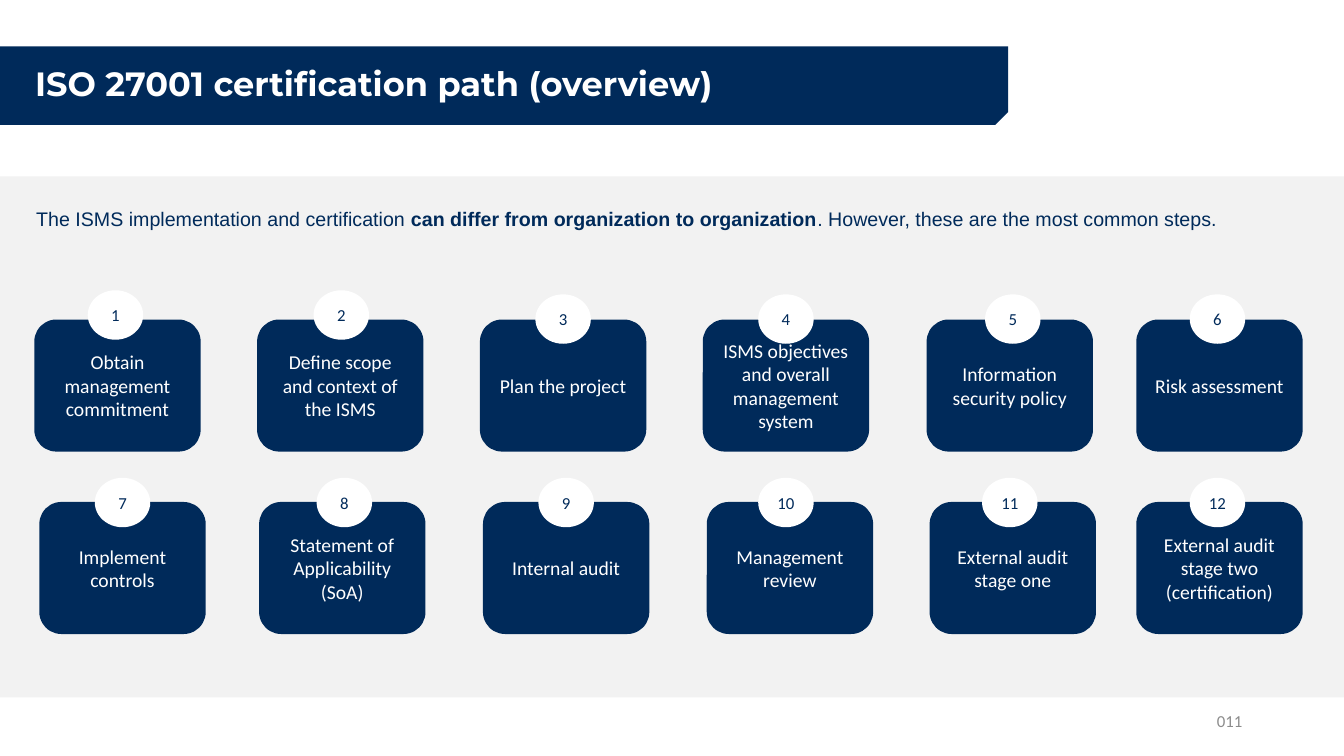
from pptx import Presentation
from pptx.dml.color import RGBColor
from pptx.enum.shapes import MSO_SHAPE
from pptx.enum.text import MSO_ANCHOR, MSO_AUTO_SIZE, PP_ALIGN
from pptx.util import Inches, Pt

RECT = MSO_SHAPE.RECTANGLE
ROUND = MSO_SHAPE.ROUNDED_RECTANGLE
SNIP = MSO_SHAPE.SNIP_ROUND_RECTANGLE
OVAL = MSO_SHAPE.OVAL
TOP, MIDDLE = MSO_ANCHOR.TOP, MSO_ANCHOR.MIDDLE
LEFT, CENTER, RIGHT = PP_ALIGN.LEFT, PP_ALIGN.CENTER, PP_ALIGN.RIGHT
FIT = MSO_AUTO_SIZE.SHAPE_TO_FIT_TEXT

COLORS = {"navy": "002A5A", "white": "FFFFFF", "pale": "F2F2F2", "gray": "8C8C8C"}
TITLE = {"name": "Montserrat", "size": Pt(24), "bold": True}
INTRO = {"name": "Arial", "size": Pt(14)}
LABEL = {"name": "Calibri", "size": Pt(14)}
SMALL = {"name": "Calibri", "size": Pt(12)}

CARD_W, CARD_H = 1.65, 1.31
BADGE_W, BADGE_H = 0.55, 0.49
ROWS = [
    (3.17, [
        ("Obtain management commitment", 0.34, 0.87, 2.88),
        ("Define scope and context of the ISMS", 2.55, 3.11, 2.88),
        ("Plan the project", 4.76, 5.31, 2.92),
        ("ISMS objectives and overall management system", 6.97, 7.52, 2.92),
        ("Information security policy", 9.19, 9.77, 2.92),
        ("Risk assessment", 11.27, 11.8, 2.92),
    ]),
    (4.98, [
        ("Implement controls", 0.39, 0.94, 4.74),
        ("Statement of Applicability (SoA)", 2.57, 3.14, 4.74),
        ("Internal audit", 4.79, 5.34, 4.74),
        ("Management review", 7.01, 7.52, 4.74),
        ("External audit stage one", 9.22, 9.74, 4.74),
        ("External audit stage two (certification)", 11.27, 11.8, 4.74),
    ]),
]


def paint(color):
    return RGBColor.from_string(COLORS[color])


def write(shape, runs, style, color, align=LEFT, anchor=MIDDLE):
    frame = shape.text_frame
    frame.word_wrap = True
    frame.vertical_anchor = anchor
    para = frame.paragraphs[0]
    para.alignment = align
    for text, extra in runs:
        run = para.add_run()
        run.text = text
        for key, value in {**style, **extra}.items():
            setattr(run.font, key, value)
        run.font.color.rgb = paint(color)
    return frame


def add_form(slide, kind, box, color):
    shape = slide.shapes.add_shape(kind, *map(Inches, box))
    shape.shadow.inherit = False
    shape.fill.solid()
    shape.fill.fore_color.rgb = paint(color)
    shape.line.fill.background()
    return shape


def add_text(slide, box, *args):
    return write(slide.shapes.add_textbox(*map(Inches, box)), *args)


def add_card(slide, text, left, top):
    card = add_form(slide, ROUND, (left, top, CARD_W, CARD_H), "navy")
    write(card, [(text, {})], LABEL, "white", CENTER)


def add_badge(slide, step, left, top):
    badge = add_form(slide, OVAL, (left, top, BADGE_W, BADGE_H), "white")
    frame = write(badge, [(str(step), {})], SMALL, "navy", CENTER)
    frame.margin_left = frame.margin_right = Inches(0)


def add_head(slide):
    bar = add_form(slide, SNIP, (0, 0.46, 10, 0.78), "navy")
    bar.adjustments[0] = 0
    bar.adjustments[1] = 0.167
    bar.element.spPr.xfrm.set("flipV", "1")
    frame = add_text(slide, (0.25, 0.46, 9.5, 0.78),
                     [("ISO 27001 certification path (overview)", {})], TITLE, "white")
    frame.paragraphs[0].line_spacing = 0.9


def add_intro(slide):
    runs = [
        ("The ISMS implementation and certification ", {}),
        ("can differ from organization to organization", {"bold": True}),
        (". However, these are the most common steps.", {}),
    ]
    frame = add_text(slide, (0.26, 2, 12.91, 0.34), runs, INTRO, "navy", LEFT, TOP)
    frame.auto_size = FIT


def add_steps(slide):
    step = 0
    for top, cards in ROWS:
        for text, left, badge_x, badge_y in cards:
            step += 1
            add_card(slide, text, left, top)
            add_badge(slide, step, badge_x, badge_y)


def main():
    deck = Presentation()
    deck.slide_width, deck.slide_height = Inches(13.33), Inches(7.5)
    slide = deck.slides.add_slide(deck.slide_layouts[6])
    add_head(slide)
    add_form(slide, RECT, (0, 1.75, 13.33, 5.17), "pale")
    add_intro(slide)
    add_steps(slide)
    add_text(slide, (9.42, 6.95, 3, 0.4), [("011", {})], SMALL, "gray", RIGHT)
    deck.save("out.pptx")


if __name__ == "__main__":
    main()
